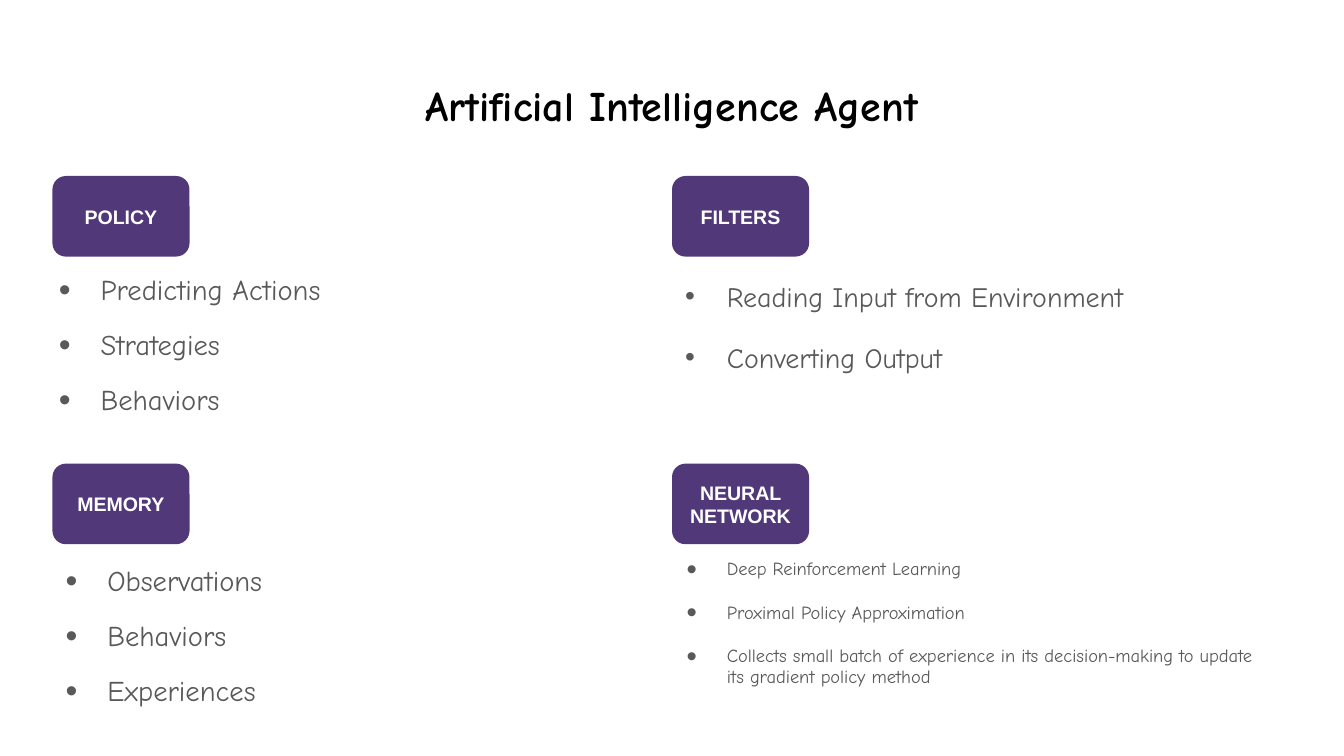
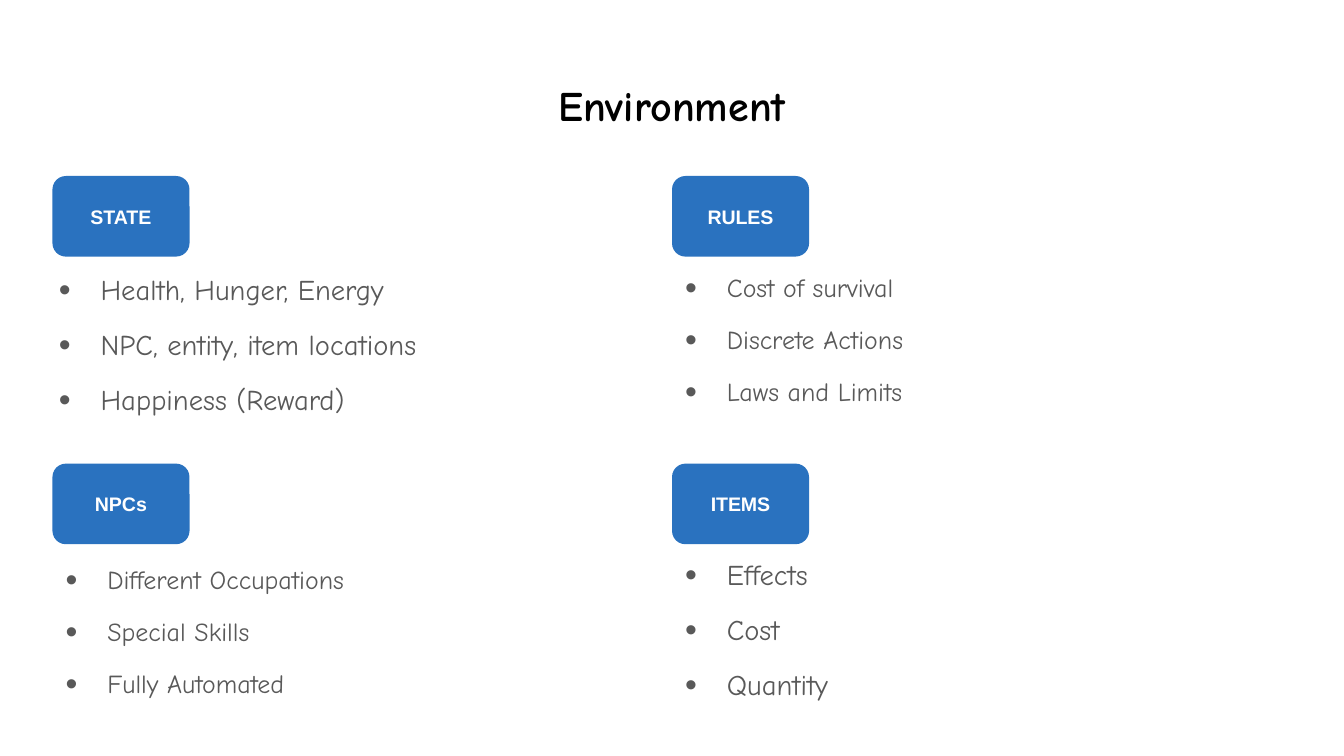
from pptx import Presentation
from pptx.dml.color import RGBColor
from pptx.enum.shapes import MSO_SHAPE
from pptx.enum.text import MSO_ANCHOR, PP_ALIGN
from pptx.util import Inches, Pt
from lxml.etree import SubElement
from pptx.oxml.ns import qn

COLORS = {"title": "000000", "body": "595959", "label": "FFFFFF",
          "agent": "513879", "environment": "2A72BF"}
HEADING_FONT, LABEL_FONT = "Comic Neue", "Arial"

LARGE = {"size": 15.3, "bullet": 118}
MEDIUM = {"size": 13.9, "bullet": 130}
SMALL = {"size": 9.9, "bullet": 160, "hanging": 0.3}
LOOSE = {"size": 15, "bullet": 100, "spacing": 1.15}

TOPICS = [
    ("Artificial Intelligence Agent", "agent", [
        ("POLICY", LARGE, ["Predicting Actions", "Strategies", "Behaviors"]),
        ("FILTERS", LOOSE, ["Reading Input from Environment", "Converting Output"]),
        ("MEMORY", LARGE, ["Observations", "Behaviors", "Experiences"]),
        ("NEURAL NETWORK", SMALL, [
            "Deep Reinforcement Learning",
            "Proximal Policy Approximation",
            "Collects small batch of experience in its decision-making "
            "to update its gradient policy method"]),
    ]),
    ("Environment", "environment", [
        ("STATE", LARGE, ["Health, Hunger, Energy", "NPC, entity, item locations",
                          "Happiness (Reward)"]),
        ("RULES", MEDIUM, ["Cost of survival", "Discrete Actions", "Laws and Limits"]),
        ("NPCs", MEDIUM, ["Different Occupations", "Special Skills", "Fully Automated"]),
        ("ITEMS", LARGE, ["Effects", "Cost", "Quantity"]),
    ]),
]

SLIDE_SIZE = (10, 5.625)
TITLE_AREA = (0.34, 0.49, 9.32, 0.63)
COLUMNS, ROWS = (0.39, 5), (1.31, 3.45)
LABEL_SIZE, LIST_SIZE = (1.02, 0.6), (4.45, 1.45)
LIST_STARTS = [(0.34, 1.94), (5, 1.94), (0.39, 4.11), (5, 4.06)]


def add_bullet(paragraph, percent, hanging):
    props = paragraph._p.get_or_add_pPr()
    props.set("marL", str(Inches(0.31)))
    props.set("indent", str(-Inches(hanging)))
    tint = SubElement(props, qn("a:buClr"))
    SubElement(tint, qn("a:srgbClr"), val=COLORS["body"])
    SubElement(props, qn("a:buSzPct"), val=str(percent * 1000))
    SubElement(props, qn("a:buFont"), typeface=LABEL_FONT)
    SubElement(props, qn("a:buChar"), char="•")


def write(shape, lines, size, color, font=HEADING_FONT, bold=False, align=PP_ALIGN.LEFT,
          anchor=MSO_ANCHOR.TOP, inset=0.1, bullet=None, hanging=0.31, spacing=None):
    frame = shape.text_frame
    frame.word_wrap = True
    frame.vertical_anchor = anchor
    frame.margin_left = frame.margin_right = Inches(0.1)
    frame.margin_top = frame.margin_bottom = Inches(inset)
    for index, line in enumerate(lines):
        paragraph = frame.add_paragraph() if index else frame.paragraphs[0]
        if bullet:
            add_bullet(paragraph, bullet, hanging)
            paragraph.line_spacing = spacing or 0.95
            if index:
                paragraph.space_before = Pt(12)
        paragraph.alignment = align
        run = paragraph.add_run()
        run.text = line
        run.font.name, run.font.size, run.font.bold = font, Pt(size), bold
        run.font.color.rgb = RGBColor.from_string(COLORS[color])


def add_area(slide, area):
    return slide.shapes.add_textbox(*map(Inches, area))


def add_label(slide, name, start, color):
    label = slide.shapes.add_shape(MSO_SHAPE.ROUNDED_RECTANGLE,
                                   *map(Inches, start + LABEL_SIZE))
    label.shadow.inherit = False
    label.fill.solid()
    label.fill.fore_color.rgb = RGBColor.from_string(COLORS[color])
    label.line.fill.background()
    write(label, [name], 10.5, "label", font=LABEL_FONT, bold=True,
          align=PP_ALIGN.CENTER, anchor=MSO_ANCHOR.MIDDLE, inset=0.05)


def add_topic(deck, title, color, sections):
    slide = deck.slides.add_slide(deck.slide_layouts[6])
    write(add_area(slide, TITLE_AREA), [title], 22.5, "title", bold=True,
          align=PP_ALIGN.CENTER)
    for index, (name, style, points) in enumerate(sections):
        row, column = divmod(index, len(COLUMNS))
        add_label(slide, name, (COLUMNS[column], ROWS[row]), color)
        write(add_area(slide, LIST_STARTS[index] + LIST_SIZE), points,
              color="body", **style)


def main():
    deck = Presentation()
    deck.slide_width, deck.slide_height = map(Inches, SLIDE_SIZE)
    for topic in TOPICS:
        add_topic(deck, *topic)
    deck.save("out.pptx")


if __name__ == "__main__":
    main()
